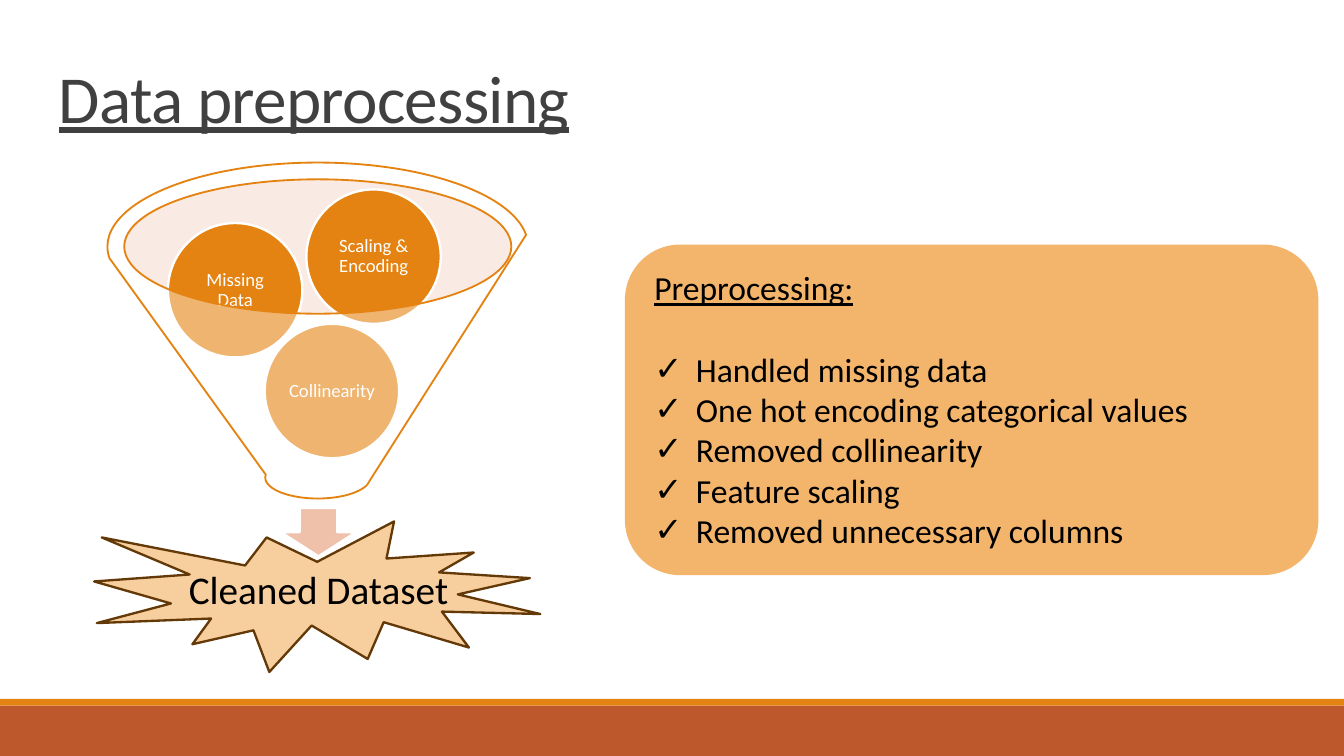
from lxml import etree
from pptx import Presentation
from pptx.dml.color import RGBColor
from pptx.enum.shapes import MSO_SHAPE
from pptx.enum.text import MSO_ANCHOR, PP_ALIGN
from pptx.oxml.ns import qn
from pptx.util import Inches, Pt

RECTANGLE = MSO_SHAPE.RECTANGLE
ROUNDED = MSO_SHAPE.ROUNDED_RECTANGLE
ELLIPSE = MSO_SHAPE.OVAL
BURST = MSO_SHAPE.EXPLOSION1
FUNNEL = MSO_SHAPE.FUNNEL
DOWN_ARROW = MSO_SHAPE.DOWN_ARROW
TOP, MIDDLE = MSO_ANCHOR.TOP, MSO_ANCHOR.MIDDLE
LEFT, CENTER = PP_ALIGN.LEFT, PP_ALIGN.CENTER

FONT = "Calibri"
COLORS = {
    "rust": "BD582C",
    "orange": "E48312",
    "burst": "F7CE9D",
    "burst_line": "643908",
    "card": "F3B56C",
    "mouth": "F2CDBD",
    "arrow": "EFC1AB",
    "title": "404040",
    "black": "000000",
    "white": "FFFFFF",
}

TITLE = "Data preprocessing"
RESULT = "Cleaned Dataset"
CARD_HEADING = "Preprocessing:"
CARD_ITEMS = [
    "Handled missing data",
    "One hot encoding categorical values",
    "Removed collinearity",
    "Feature scaling",
    "Removed unnecessary columns",
]
STEPS = [
    ("Collinearity", 1.97, 2.41),
    ("Missing Data", 1.25, 1.66),
    ("Scaling & Encoding", 2.28, 1.41),
]
SLIDE_WIDTH = 10
SLIDE_HEIGHT = SLIDE_WIDTH * 9 / 16
CIRCLE_SIZE = 1
LABEL_SIZE = 0.71
BULLET_INDENT = 0.31

presentation = Presentation()
presentation.slide_width = Inches(SLIDE_WIDTH)
presentation.slide_height = Inches(SLIDE_HEIGHT)
slide = presentation.slides.add_slide(presentation.slide_layouts[6])


def add_shape(kind, box, fill, line=None, width=1.25, alpha=None):
    shape = slide.shapes.add_shape(kind, *map(Inches, box))
    shape.shadow.inherit = False
    shape.fill.solid()
    shape.fill.fore_color.rgb = RGBColor.from_string(COLORS[fill])
    if alpha:
        color = shape.fill._xPr.find(qn("a:solidFill"))[0]
        etree.SubElement(color, qn("a:alpha"), val=str(alpha * 1000))
    if line:
        shape.line.color.rgb = RGBColor.from_string(COLORS[line])
        shape.line.width = Pt(width)
    else:
        shape.line.fill.background()
    return shape


def format_paragraph(paragraph, size, color, align=LEFT, spacing=1.0, underline=False):
    paragraph.alignment = align
    paragraph.line_spacing = spacing
    for run in paragraph.runs:
        run.font.name = FONT
        run.font.size = Pt(size)
        run.font.underline = underline
        run.font.color.rgb = RGBColor.from_string(COLORS[color])


def add_text(text, box, inset, size, color, anchor=MIDDLE, **style):
    text_frame = slide.shapes.add_textbox(*map(Inches, box)).text_frame
    text_frame.word_wrap = True
    text_frame.vertical_anchor = anchor
    text_frame.margin_left = text_frame.margin_right = Inches(inset)
    text_frame.margin_top = text_frame.margin_bottom = Inches(inset)
    text_frame.text = text
    format_paragraph(text_frame.paragraphs[0], size, color, **style)
    return text_frame


def add_check_mark(paragraph):
    properties = paragraph._p.get_or_add_pPr()
    properties.set("marL", str(Inches(BULLET_INDENT)))
    properties.set("indent", str(-Inches(BULLET_INDENT)))
    etree.SubElement(properties, qn("a:buFont"), typeface=FONT)
    etree.SubElement(properties, qn("a:buChar"), char="✓")


add_shape(RECTANGLE, (0, 5.25, SLIDE_WIDTH, SLIDE_HEIGHT - 5.25), "rust")
add_shape(RECTANGLE, (0, 5.2, SLIDE_WIDTH, 0.05), "orange")
add_shape(BURST, (0.7, 3.88, 3.32, 1.12), "burst", "burst_line")

title = add_text(TITLE, (0.34, 0.41, 9.32, 0.63), 0.1, 36, "title",
                 anchor=TOP, spacing=0.85, underline=True)
title.paragraphs[0].runs[0]._r.get_or_add_rPr().set("spc", "-40")

card = add_shape(ROUNDED, (4.65, 1.82, 5.16, 2.46), "card")
card.adjustments[0] = 0.167
card_text = card.text_frame
card_text.word_wrap = True
card_text.vertical_anchor = TOP
card_text.text = "\n".join([CARD_HEADING, *CARD_ITEMS])
heading, *items = card_text.paragraphs
format_paragraph(heading, 18, "black", underline=True)
heading.space_after = Pt(22)
for item in items:
    format_paragraph(item, 18, "black")
    add_check_mark(item)

add_shape(ELLIPSE, (0.92, 1.33, 2.88, 1), "mouth", alpha=40)
add_shape(DOWN_ARROW, (2.09, 3.78, 0.56, 0.36), "arrow", "white")
add_text(RESULT, (1.03, 4.07, 2.68, 0.67), 0.16, 21, "black",
         align=CENTER, spacing=0.9)

label_offset = (CIRCLE_SIZE - LABEL_SIZE) / 2
for label, left, top in STEPS:
    add_shape(ELLIPSE, (left, top, CIRCLE_SIZE, CIRCLE_SIZE), "orange", "white")
    label_box = (left + label_offset, top + label_offset, LABEL_SIZE, LABEL_SIZE)
    add_text(label, label_box, 0.01, 10, "white", align=CENTER, spacing=0.9)

add_shape(FUNNEL, (0.8, 1.21, 3.13, 2.5), "white", "orange", 1, alpha=40)

presentation.save("out.pptx")
